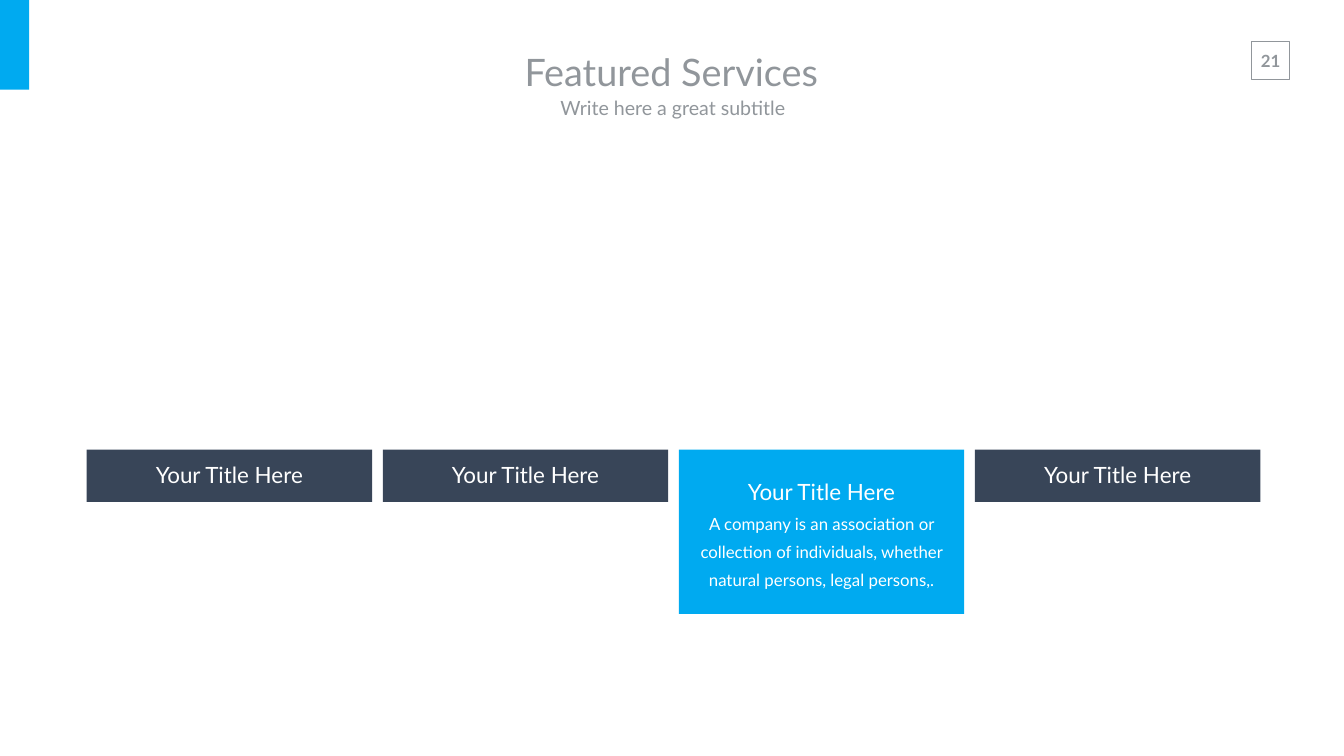
"""Build the Featured Services slide with four title cards."""
from dataclasses import dataclass
from typing import Optional

from pptx import Presentation
from pptx import util as u
from pptx.dml.color import RGBColor
from pptx.enum import shapes, text


@dataclass(frozen=True)
class Theme:
    font: str = "Lato"
    grey: str = "91969B"
    blue: str = "00AAF0"
    navy: str = "384558"
    white: str = "FFFFFF"
    title: int = 54
    card: int = 32
    subtitle: int = 28
    body: int = 24


@dataclass(frozen=True)
class Box:
    left: float
    top: float
    width: float
    height: float

    def emu(self) -> list:
        return [u.Inches(v) for v in (self.left, self.top, self.width, self.height)]


@dataclass(frozen=True)
class Line:
    words: str
    size: int
    color: str
    bold: bool = False


@dataclass(frozen=True)
class Card:
    title: str
    body: Optional[str] = None


THEME = Theme()
CARDS = [
    Card("Your Title Here"),
    Card("Your Title Here"),
    Card("Your Title Here", "A company is an association or collection of individuals, "
                            "whether natural persons, legal persons,."),
    Card("Your Title Here"),
]
CARD_LEFT, CARD_TOP, CARD_WIDTH = 1.72, 8.92, 5.66
CARD_PITCH = (19.34 - CARD_LEFT) / (len(CARDS) - 1)


def set_all(target: object, values: dict) -> None:
    for name, value in values.items():
        setattr(target, name, value)


def add_rect(s, box: Box, fill: Optional[str] = None, line: Optional[str] = None) -> None:
    sp = s.shapes.add_shape(shapes.MSO_SHAPE.RECTANGLE, *box.emu())
    sp.shadow.inherit = False
    if fill:
        sp.fill.solid()
        sp.fill.fore_color.rgb = RGBColor.from_string(fill)
    else:
        sp.fill.background()
    if line:
        sp.line.color.rgb = RGBColor.from_string(line)
        sp.line.width = u.Pt(1)
    else:
        sp.line.fill.background()


def add_text(s, box: Box, lines: list[Line], inset: tuple[float, float] = (0.1, 0.05),
             spacing: float = 1.0, wrap: bool = True,
             anchor: text.MSO_ANCHOR = text.MSO_ANCHOR.TOP) -> None:
    tf = s.shapes.add_textbox(*box.emu()).text_frame
    side, edge = (u.Inches(v) for v in inset)
    set_all(tf, {
        "word_wrap": wrap, "vertical_anchor": anchor,
        "auto_size": text.MSO_AUTO_SIZE.SHAPE_TO_FIT_TEXT,
        "margin_left": side, "margin_right": side,
        "margin_top": edge, "margin_bottom": edge,
    })
    for i, line in enumerate(lines):
        p = tf.add_paragraph() if i else tf.paragraphs[0]
        set_all(p, {"alignment": text.PP_ALIGN.CENTER, "line_spacing": spacing})
        r = p.add_run()
        r.text = line.words
        set_all(r.font, {"name": THEME.font, "size": u.Pt(line.size), "bold": line.bold})
        r.font.color.rgb = RGBColor.from_string(line.color)


def add_card(s, index: int, card: Card) -> None:
    left = CARD_LEFT + index * CARD_PITCH
    height, fill = (3.26, THEME.blue) if card.body else (1.04, THEME.navy)
    add_rect(s, Box(left, CARD_TOP, CARD_WIDTH, height), fill)
    lines = [Line(card.title, THEME.card, THEME.white)]
    top, width, text_height = 8.89, 4.23, 0.82
    if card.body:
        lines.append(Line(card.body, THEME.body, THEME.white))
        top, width, text_height = 9.23, 5.11, 2.52
    text_left = left + (CARD_WIDTH - width) / 2
    add_text(s, Box(text_left, top, width, text_height), lines, spacing=1.4)


def main() -> None:
    prs = Presentation()
    set_all(prs, {"slide_width": u.Inches(26.66), "slide_height": u.Inches(15)})
    s = prs.slides.add_slide(prs.slide_layouts[6])
    add_text(s, Box(24.8, 0.9, 0.81, 0.61), [Line("21", THEME.body, THEME.grey, True)],
             inset=(0.2, 0.1), wrap=False)
    add_rect(s, Box(24.83, 0.82, 0.75, 0.75), line=THEME.grey)
    add_rect(s, Box(0, 0, 0.58, 1.78), THEME.blue)
    headings = [
        (Box(8.15, 0.83, 10.33, 1.18), "Featured Services", THEME.title),
        (Box(8.18, 1.76, 10.33, 0.74), "Write here a great subtitle", THEME.subtitle),
    ]
    for box, words, size in headings:
        add_text(s, box, [Line(words, size, THEME.grey)], inset=(0.27, 0.13),
                 anchor=text.MSO_ANCHOR.MIDDLE)
    for index, card in enumerate(CARDS):
        add_card(s, index, card)
    prs.save("out.pptx")


if __name__ == "__main__":
    main()
